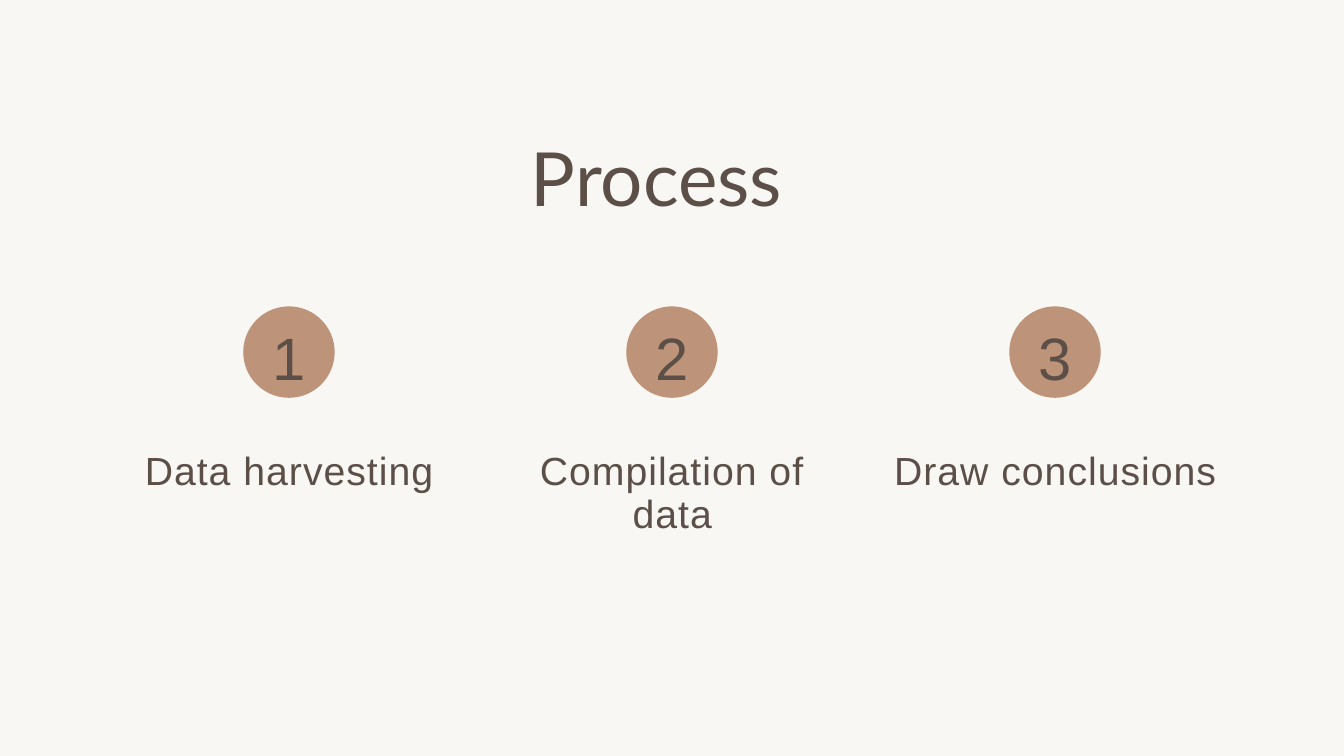
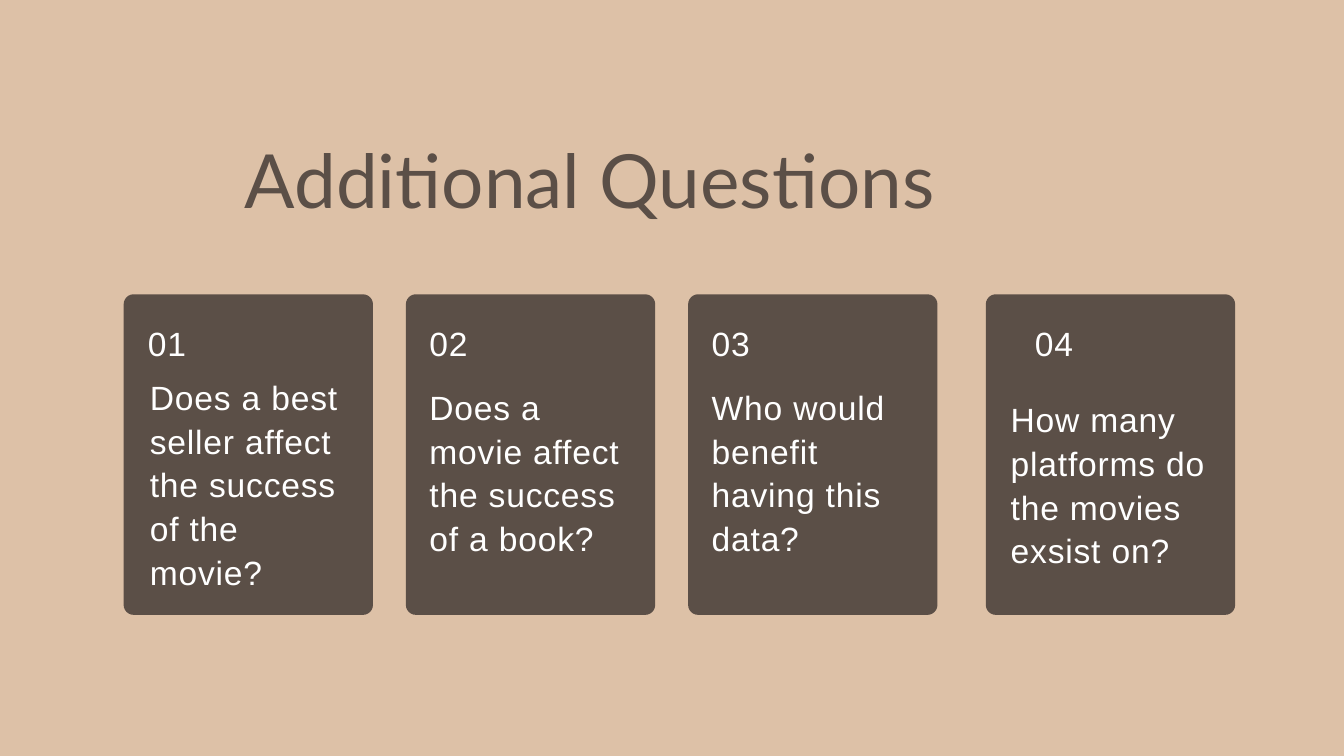
from dataclasses import dataclass

from pptx import Presentation
from pptx import util as u
from pptx.dml.color import RGBColor
from pptx.enum import shapes, text

# Content: lengths in px, 100 px to the inch
STEPS = ["Data harvesting", "Compilation of data", "Draw conclusions"]

# Card left, number left, question left and top, question
QUESTIONS = [
    (184, 220, 223, 556, "Does a best seller affect the success of the movie?"),
    (604, 639, 639, 571, "Does a movie affect the success of a book?"),
    (1024, 1059, 1059, 571, "Who would benefit having this data?"),
    (1467, 1540, 1504, 589, "How many platforms do the movies exsist on?"),
]


@dataclass(frozen=True)
class Style:
    size: float
    leading: float
    font: str = "Arial"
    color: str = "5B4F47"
    spacing: int = 0  # hundredths of a point
    level: int = 0


class Theme:
    paper, sand, clay, brown, white = "F8F7F4", "DDC1A7", "BD9479", "5B4F47", "FFFFFF"
    title = Style(80, 96, "Lato", brown)
    step = Style(42, 46.2, color=brown, spacing=110)
    step_number = Style(64, 100.5, color=brown, spacing=380, level=1)
    question = Style(36, 46.8, color=white, spacing=90)
    card_number = Style(36, 56.5, color=white, spacing=90, level=1)


ALIGN = text.PP_ALIGN
SHAPE = shapes.MSO_SHAPE


def px(*lengths):
    return [u.Emu(length * 9144) for length in lengths]


def add_page(deck, color):
    page = deck.slides.add_slide(deck.slide_layouts[6])
    page.background.fill.solid()
    page.background.fill.fore_color.rgb = RGBColor.from_string(color)
    return page


def add_text(page, place, words, style, align=ALIGN.LEFT):
    frame = page.shapes.add_textbox(*px(*place)).text_frame
    frame.margin_left = frame.margin_top = frame.margin_right = frame.margin_bottom = 0
    frame.word_wrap = True
    frame.auto_size = text.MSO_AUTO_SIZE.SHAPE_TO_FIT_TEXT
    para = frame.paragraphs[0]
    para.alignment = align
    para.line_spacing = u.Pt(style.leading)
    if style.level:
        para.level = style.level
        para._p.get_or_add_pPr().set("marL", "0")
    span = para.add_run()
    span.text = words
    span.font.name = style.font
    span.font.size = u.Pt(style.size)
    span.font.color.rgb = RGBColor.from_string(style.color)
    if style.spacing:
        span.font._element.set("spc", str(style.spacing))


def add_panel(page, kind, place, color):
    panel = page.shapes.add_shape(kind, *px(*place))
    panel.shadow.inherit = False
    panel.fill.solid()
    panel.fill.fore_color.rgb = RGBColor.from_string(color)
    panel.line.fill.background()
    return panel


def add_process(deck):
    page = add_page(deck, Theme.paper)
    add_text(page, (383, 196, 1188, 135), "Process", Theme.title, ALIGN.CENTER)

    # Three equal columns: numbered disc over its label
    disc, label_width, first_center, pitch = 136, 501, 430, 570
    for i, label in enumerate(STEPS):
        center = first_center + i * pitch
        left = center - disc // 2
        add_panel(page, SHAPE.OVAL, (left, 456, disc, disc), Theme.clay)
        add_text(page, (left, 445, disc, 132), str(i + 1), Theme.step_number, ALIGN.CENTER)
        add_text(page, (center - label_width // 2, 670, label_width, 66), label,
                 Theme.step, ALIGN.CENTER)


def add_questions(deck):
    page = add_page(deck, Theme.sand)
    add_text(page, (364, 199, 1272, 135), "Additional Questions", Theme.title, ALIGN.JUSTIFY)

    # Numbered cards
    for i, (card_left, number_left, left, top, question) in enumerate(QUESTIONS, 1):
        card = add_panel(page, SHAPE.ROUNDED_RECTANGLE, (card_left, 438, 371, 477), Theme.brown)
        card.adjustments[0] = 0.04
        add_text(page, (number_left, 462, 80, 74), f"{i:02}", Theme.card_number)
        add_text(page, (left, top, 297, 257), question, Theme.question)


def main():
    deck = Presentation()
    deck.slide_width, deck.slide_height = px(2000, 1125)
    add_process(deck)
    add_questions(deck)
    deck.save("out.pptx")


if __name__ == "__main__":
    main()
